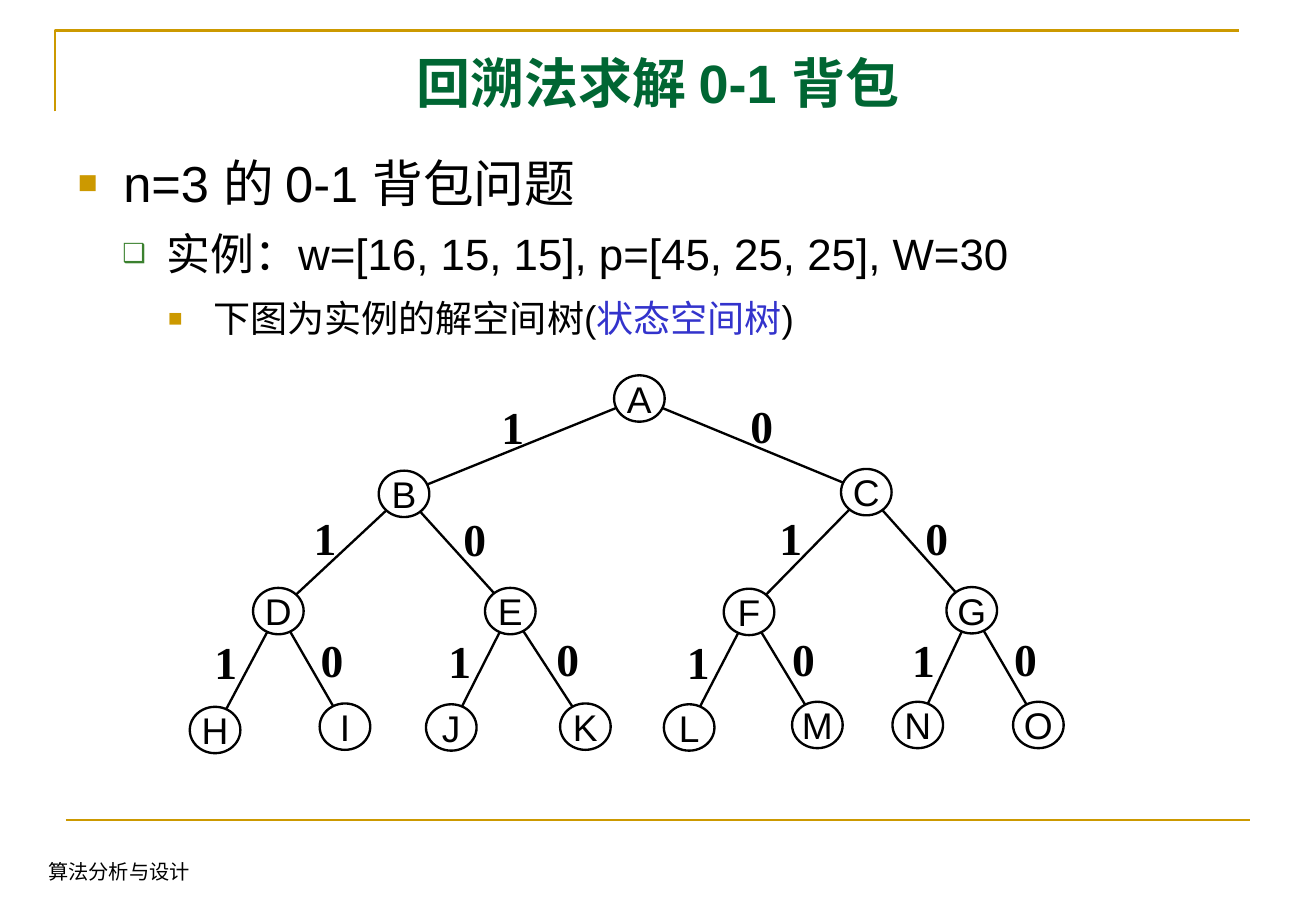
from math import hypot

from lxml import etree
from pptx import Presentation
from pptx.dml.color import RGBColor
from pptx.enum.shapes import MSO_CONNECTOR, MSO_SHAPE
from pptx.enum.text import MSO_ANCHOR, MSO_AUTO_SIZE, PP_ALIGN
from pptx.oxml.ns import qn
from pptx.util import Pt

STRAIGHT = MSO_CONNECTOR.STRAIGHT
OVAL = MSO_SHAPE.OVAL
TOP, MIDDLE, BOTTOM = MSO_ANCHOR.TOP, MSO_ANCHOR.MIDDLE, MSO_ANCHOR.BOTTOM
FIXED = MSO_AUTO_SIZE.NONE
LEFT, CENTER = PP_ALIGN.LEFT, PP_ALIGN.CENTER

BLACK, WHITE, GOLD = "000000", "FFFFFF", "CC9900"
SANS, SERIF = "Arial", "Times New Roman"
NODE_W, NODE_H = 30, 27.5
BIT_W, BIT_H, BIT_MID, BIT_GAP = 13.5, 32.5, 15, 14

NODES = [
    ("A", 252, 0.5), ("B", 112.5, 57), ("C", 386.5, 56),
    ("D", 38, 126.5), ("E", 175.5, 126.5), ("F", 317, 127), ("G", 449, 126),
    ("H", 0.5, 197), ("I", 77.5, 195), ("J", 140.5, 195.5), ("K", 220, 195),
    ("L", 281.5, 195.5), ("M", 357.5, 194), ("N", 417, 194), ("O", 488.5, 194),
]
POINTS = [
    (30, 27, -27, 1.1, "■", GOLD, 65, [("n=3 的 0-1 背包问题", BLACK)]),
    (26, 52.5, -26, 1.1, "❑", "3B812F", 60,
     [("实例：w=[16, 15, 15], p=[45, 25, 25], W=30", BLACK)]),
    (22, 80.5, -27, 1.2, "■", GOLD, 65,
     [("下图为实例的解空间树(", BLACK), ("状态空间树", "3333CC"), (")", BLACK)]),
]


def color(code):
    """Turn a hex string into a colour."""
    return RGBColor.from_string(code)


def style(run, size, face=SANS, code=BLACK, bold=False):
    """Format one run of text."""
    font = run.font
    font.size, font.name, font.bold = Pt(size), face, bold
    font.color.rgb = color(code)


def frame(shape, anchor, wrap=True, inset=None):
    """Set up a text frame and return it."""
    text = shape.text_frame
    text.word_wrap, text.auto_size = wrap, FIXED
    text.vertical_anchor = anchor
    if inset is not None:
        text.margin_left = text.margin_right = Pt(inset)
        text.margin_top = text.margin_bottom = Pt(inset)
    return text


def write(shape, words, anchor, size, face=SANS, code=BLACK, bold=False,
          align=LEFT, lead=1.0, wrap=True, inset=None):
    """Put one formatted paragraph into a shape."""
    text = frame(shape, anchor, wrap, inset)
    text.text = words
    para = text.paragraphs[0]
    para.alignment, para.line_spacing = align, lead
    style(para.runs[0], size, face, code, bold)


def line(slide, start, end, code=BLACK, width=1.38):
    """Draw a plain straight line."""
    link = slide.shapes.add_connector(STRAIGHT, *map(Pt, start + end))
    link.line.color.rgb, link.line.width = color(code), Pt(width)
    etree.SubElement(link._element.spPr, qn("a:effectLst"))


def bullet(para, left, hang, mark, code, scale):
    """Give a paragraph a coloured bullet and a hanging indent."""
    props = para._p.get_or_add_pPr()
    props.set("marL", str(Pt(left)))
    props.set("indent", str(Pt(hang)))
    tint = etree.SubElement(props, qn("a:buClr"))
    etree.SubElement(tint, qn("a:srgbClr"), val=code)
    etree.SubElement(props, qn("a:buSzPct"), val=str(scale * 1000))
    etree.SubElement(props, qn("a:buFont"), typeface=SANS)
    etree.SubElement(props, qn("a:buChar"), char=mark)


def border(slide, x, y, w, h):
    """Draw the corner rule at the top and the rule above the footer."""
    path = slide.shapes.build_freeform(Pt(x), Pt(y + 48))
    path.add_line_segments([(Pt(x), Pt(y)), (Pt(x + w), Pt(y))], close=False)
    corner = path.convert_to_shape()
    corner.shadow.inherit = False
    corner.fill.background()
    corner.line.color.rgb, corner.line.width = color(GOLD), Pt(1.5)
    line(slide, (x + 6.5, y + h), (x + 6.5 + w, y + h), GOLD, 1.5)


def heading(slide, x, y, w, h):
    """Place the title."""
    title = slide.shapes.title
    title.left, title.top, title.width, title.height = map(Pt, (x, y, w, h))
    write(title, "回溯法求解 0-1 背包", MIDDLE, 32, code="006633", bold=True,
          align=CENTER, lead=1.1)


def outline(slide, x, y, w, h):
    """Write the three levels of bullet points."""
    text = frame(slide.shapes.add_textbox(*map(Pt, (x, y, w, h))), TOP)
    for i, (size, left, hang, lead, mark, code, scale, parts) in enumerate(POINTS):
        para = text.add_paragraph() if i else text.paragraphs[0]
        para.level = i
        bullet(para, left, hang, mark, code, scale)
        para.line_spacing = lead
        if i:
            para.space_before = Pt(size * 0.2)
        for words, ink in parts:
            run = para.add_run()
            run.text = words
            style(run, size, code=ink)


def branch(slide, start, end, bit):
    """Join two node centres and set the bit clear of the line, on its upper side."""
    line(slide, start, end)
    (ax, ay), (bx, by) = start, end
    run, drop = bx - ax, by - ay
    scale = BIT_GAP / hypot(run, drop)
    side = 1 if run > 0 else -1
    mx = (ax + bx) / 2 + side * drop * scale
    my = (ay + by) / 2 - abs(run) * scale
    label = slide.shapes.add_textbox(
        Pt(mx - BIT_W / 2), Pt(my - BIT_MID), Pt(BIT_W), Pt(BIT_H))
    write(label, bit, TOP, 27, SERIF, bold=True, wrap=False, inset=0)


def tree(slide, x, y):
    """Draw the state space tree, each node's children at 2i+1 and 2i+2."""
    spots = [(x + dx + NODE_W / 2, y + dy + NODE_H / 2) for _, dx, dy in NODES]
    for i in range(1, len(spots)):
        branch(slide, spots[(i - 1) // 2], spots[i], str(i % 2))
    for name, dx, dy in NODES:
        node = slide.shapes.add_shape(
            OVAL, Pt(x + dx), Pt(y + dy), Pt(NODE_W), Pt(NODE_H))
        node.shadow.inherit = False
        node.fill.solid()
        node.fill.fore_color.rgb = color(WHITE)
        node.line.color.rgb, node.line.width = color(BLACK), Pt(1.38)
        write(node, name, MIDDLE, 22, align=CENTER, wrap=False, inset=0)


def footer(slide, x, y, w, h):
    """Write the course name at the bottom."""
    box = slide.shapes.add_textbox(*map(Pt, (x, y, w, h)))
    write(box, "算法分析与设计", BOTTOM, 12, SERIF)


def main():
    """Build the slide and save it."""
    deck = Presentation()
    deck.slide_width, deck.slide_height = Pt(780), Pt(540)
    slide = deck.slides.add_slide(deck.slide_layouts[5])
    border(slide, 32.5, 18, 702, 468)
    heading(slide, 39, 19, 702, 55.5)
    outline(slide, 39, 83, 702, 126.5)
    tree(slide, 112, 222)
    footer(slide, 21.5, 502.5, 247, 25)
    deck.save("out.pptx")


if __name__ == "__main__":
    main()
